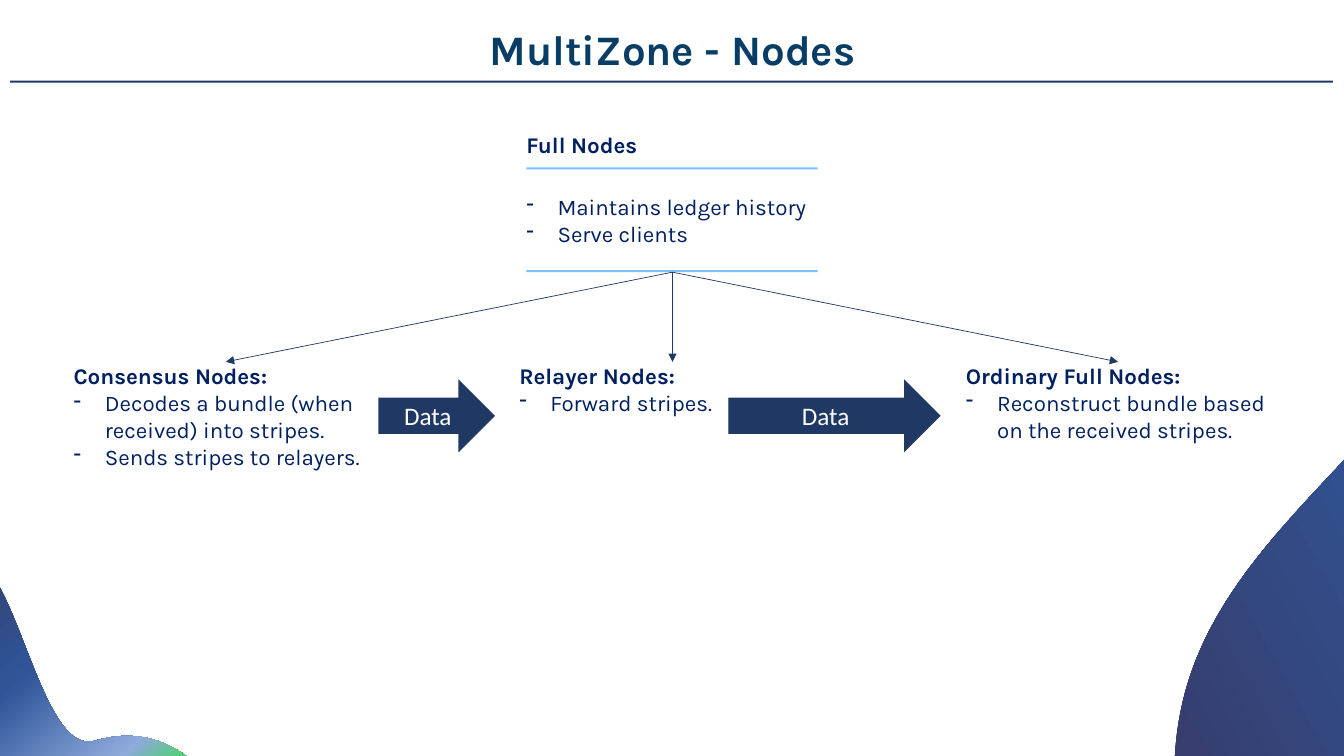
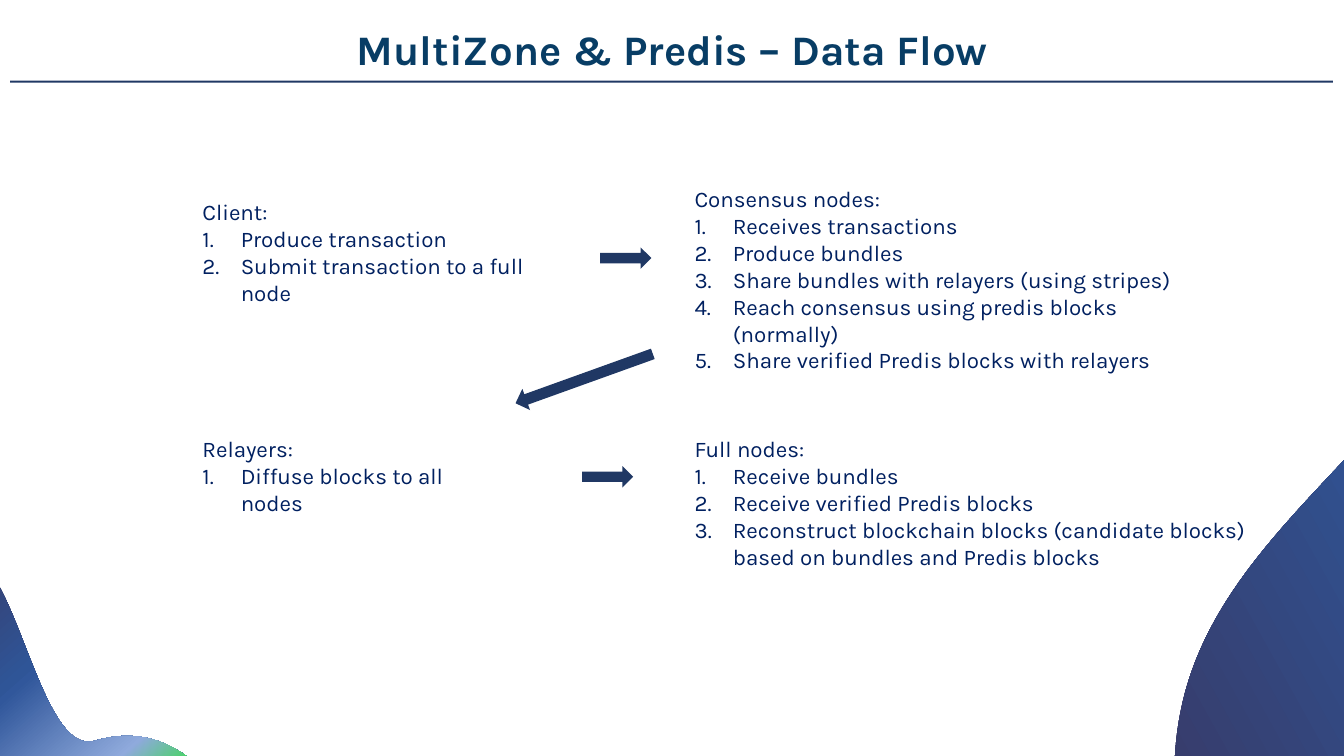
import math

from lxml import etree
from pptx import Presentation
from pptx.dml.color import RGBColor
from pptx.enum.shapes import MSO_CONNECTOR, MSO_SHAPE
from pptx.enum.text import MSO_ANCHOR, PP_ALIGN
from pptx.oxml.ns import qn
from pptx.util import Inches, Pt

RECTANGLE, RIGHT_ARROW = MSO_SHAPE.RECTANGLE, MSO_SHAPE.RIGHT_ARROW
STRAIGHT = MSO_CONNECTOR.STRAIGHT
TOP, MIDDLE = MSO_ANCHOR.TOP, MSO_ANCHOR.MIDDLE
LEFT, CENTER = PP_ALIGN.LEFT, PP_ALIGN.CENTER

COLOURS = {
    "title": "083D65", "text": "002060", "navy": "203864",
    "sky": "7AC2F9", "white": "FFFFFF", "indigo": "393762",
    "blue": "2F5597", "steel": "31579B", "mist": "8FAADC", "green": "0CFA00",
}
WAVE_STOPS = [(0, "indigo"), (42, "blue"), (44, "steel"), (77, "mist"), (100, "green")]
WAVES = [
    {
        "box": (7.99, 1.71, 12.02, 2.04),
        "rotation": 285.9,
        "pieces": [
            [(11.76, 6.85)],
            [(12.28, 4.98), (14.55, 4.08), (14.97, 1.89)],
            [(15.36, -0.12), (15.99, -1.64), (16.62, -2.75)],
            [(16.63, -2.76)],
            [(13.33, 8.79)],
            [(13.25, 8.77)],
            [(12.87, 8.66), (12.37, 8.52), (11.71, 8.33)],
            [(11.61, 7.77), (11.64, 7.29), (11.76, 6.85)],
        ],
    },
    {
        "box": (-0.71, 5.6, 2.87, 2.04),
        "rotation": 3.5,
        "pieces": [
            [(-0.3, 5.54)],
            [(0.16, 5.56), (0.4, 7.51), (0.94, 7.35)],
            [(1.44, 7.2), (1.82, 7.41), (2.09, 7.73)],
            [(2.1, 7.73)],
            [(-0.77, 7.56)],
            [(-0.76, 7.48)],
            [(-0.74, 7.08), (-0.71, 6.56), (-0.67, 5.88)],
            [(-0.53, 5.63), (-0.41, 5.53), (-0.3, 5.54)],
        ],
    },
]


def write_text(frame, heading, items=(), *, size=16, font="Karla", colour="text",
               bold=False, align=LEFT, anchor=TOP, margins=None, numbered=False):
    frame.word_wrap = True
    frame.vertical_anchor = anchor
    if margins is not None:
        frame.margin_left = frame.margin_right = Inches(margins)
        frame.margin_top = frame.margin_bottom = Inches(margins)
    lines = [(heading, False)] if heading else []
    lines += [(item, True) for item in items]
    for index, (line, listed) in enumerate(lines):
        para = frame.paragraphs[0] if index == 0 else frame.add_paragraph()
        para.alignment = align
        span = para.add_run()
        span.text = line
        span.font.name = font
        span.font.size = Pt(size)
        span.font.bold = bold and not listed
        span.font.color.rgb = RGBColor.from_string(COLOURS[colour])
        if listed:
            properties = para._p.get_or_add_pPr()
            indent = Inches(0.38 if numbered else 0.31)
            properties.set("marL", str(indent))
            properties.set("indent", str(-indent))
            if numbered:
                etree.SubElement(properties, qn("a:buAutoNum"), type="arabicPeriod")
            else:
                tint = etree.SubElement(properties, qn("a:buClr"))
                etree.SubElement(tint, qn("a:srgbClr"), val=COLOURS[colour])
                etree.SubElement(properties, qn("a:buFontTx"))
                etree.SubElement(properties, qn("a:buChar"), char="-")


def add_figure(shapes, kind, box, colour="navy", outlined=False):
    figure = shapes.add_shape(kind, *map(Inches, box))
    figure.shadow.inherit = False
    figure.fill.solid()
    figure.fill.fore_color.rgb = RGBColor.from_string(COLOURS[colour])
    if outlined:
        figure.line.color.rgb = RGBColor.from_string(COLOURS[colour])
        figure.line.width = Pt(1)
        etree.SubElement(figure.line._get_or_add_ln(), qn("a:miter"), lim="800000")
    else:
        figure.line.fill.background()
    return figure


deck = Presentation()
deck.slide_width, deck.slide_height = Inches(13.33), Inches(7.5)

pages = []
for title in ["MultiZone - Nodes", "MultiZone & Predis – Data Flow"]:
    page = deck.slides.add_slide(deck.slide_layouts[6])
    pages.append(page)
    title_box = page.shapes.add_textbox(*map(Inches, (2.99, 0.23, 7.36, 0.5)))
    write_text(title_box.text_frame, title, size=30, colour="title", bold=True,
               align=CENTER, margins=0)
    add_figure(page.shapes, RECTANGLE, (0.1, 0.8, 13.12, 0.02))

nodes_page, flow_page = pages

full_nodes = nodes_page.shapes.add_group_shape().shapes
for top in (2.68, 1.66):
    add_figure(full_nodes, RECTANGLE, (5.22, top, 2.89, 0.02), "sky")

node_texts = [
    (full_nodes, (5.22, 1.3, 2.79, 0.27), "Full Nodes", []),
    (full_nodes, (5.22, 1.91, 2.89, 0.54), None,
     ["Maintains ledger history", "Serve clients"]),
    (nodes_page.shapes, (0.73, 3.59, 3.02, 1.08), "Consensus Nodes:",
     ["Decodes a bundle (when received) into stripes.", "Sends stripes to relayers."]),
    (nodes_page.shapes, (5.15, 3.59, 3.02, 0.54), "Relayer Nodes:", ["Forward stripes."]),
    (nodes_page.shapes, (9.58, 3.59, 3.02, 0.81), "Ordinary Full Nodes:",
     ["Reconstruct bundle based on the received stripes."]),
]
for shapes, box, heading, items in node_texts:
    text_box = shapes.add_textbox(*map(Inches, box))
    write_text(text_box.text_frame, heading, items, bold=True, anchor=MIDDLE, margins=0)

for end in (2.24, 6.67, 11.09):
    branch = nodes_page.shapes.add_connector(
        STRAIGHT, Inches(6.67), Inches(2.7), Inches(end), Inches(3.59))
    branch.line.color.rgb = RGBColor.from_string(COLOURS["navy"])
    branch.line.width = Pt(0.5)
    etree.SubElement(branch.line._get_or_add_ln(), qn("a:tailEnd"), type="triangle")
    etree.SubElement(branch._element.spPr, qn("a:effectLst"))

for left, width in ((3.76, 1.14), (7.23, 2.09)):
    arrow = add_figure(nodes_page.shapes, RIGHT_ARROW, (left, 3.78, width, 0.69),
                       outlined=True)
    write_text(arrow.text_frame, "Data", size=18, font="Calibri", colour="white",
               align=CENTER, anchor=MIDDLE)

flow_texts = [
    ((6.79, 1.79, 5.26, 1.72), "Consensus nodes:",
     ["Receives transactions", "Produce bundles",
      "Share bundles with relayers (using stripes)",
      "Reach consensus using predis blocks (normally)",
      "Share verified Predis blocks with relayers"]),
    ((1.91, 1.92, 3.86, 0.91), "Client:",
     ["Produce transaction", "Submit transaction to a full node"]),
    ((1.91, 4.27, 3.17, 0.64), "Relayers:", ["Diffuse blocks to all nodes"]),
    ((6.79, 4.27, 5.72, 1.45), "Full nodes:",
     ["Receive bundles", "Receive verified Predis blocks",
      "Reconstruct blockchain blocks (candidate blocks) based on bundles and Predis blocks"]),
]
for box, heading, items in flow_texts:
    text_box = flow_page.shapes.add_textbox(*map(Inches, box))
    write_text(text_box.text_frame, heading, items, numbered=True)

for box, rotation in [((5.96, 2.47, 0.49, 0.18), 0),
                      ((5.08, 3.66, 1.43, 0.19), 160.2),
                      ((5.78, 4.64, 0.49, 0.18), 0)]:
    arrow = add_figure(flow_page.shapes, RIGHT_ARROW, box, outlined=True)
    arrow.rotation = rotation

for page in pages:
    for wave in WAVES:
        left, top, width, height = wave["box"]
        middle = complex(left + width / 2, top + height / 2)
        angle = math.radians(wave["rotation"])
        turn_back = complex(math.cos(angle), -math.sin(angle))

        builder = page.shapes.build_freeform(0, 0)
        builder.add_line_segments([(Inches(width), 0), (Inches(width), Inches(height))])
        shape = builder.convert_to_shape()
        shape.left, shape.top = Inches(left), Inches(top)
        shape.width, shape.height = Inches(width), Inches(height)
        shape.rotation = wave["rotation"]
        shape.shadow.inherit = False
        shape.line.fill.background()

        outline = next(shape._element.iter(qn("a:path")))
        for segment in list(outline):
            outline.remove(segment)
        for index, piece in enumerate(wave["pieces"]):
            straight_tag = "a:lnTo" if index else "a:moveTo"
            tag = "a:cubicBezTo" if len(piece) == 3 else straight_tag
            segment = etree.SubElement(outline, qn(tag))
            for point in piece:
                local = (complex(*point) - middle) * turn_back
                etree.SubElement(segment, qn("a:pt"),
                                 x=str(Inches(local.real + width / 2)),
                                 y=str(Inches(local.imag + height / 2)))
        etree.SubElement(outline, qn("a:close"))

        shape.fill.gradient()
        shape.fill.gradient_angle = 315
        stop_list = next(shape._element.iter(qn("a:gsLst")))
        for stop in list(stop_list):
            stop_list.remove(stop)
        for percent, colour in WAVE_STOPS:
            stop = etree.SubElement(stop_list, qn("a:gs"), pos=str(percent * 1000))
            etree.SubElement(stop, qn("a:srgbClr"), val=COLOURS[colour])

deck.save("out.pptx")
